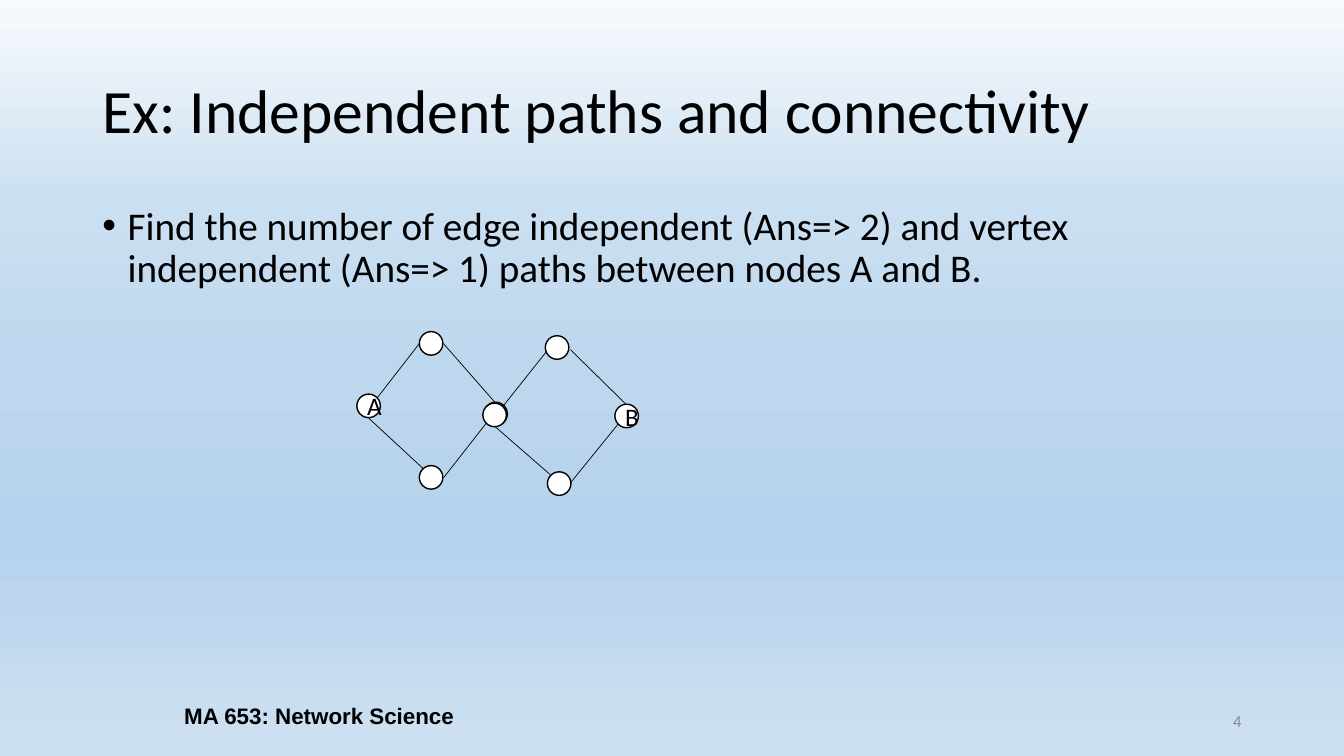
from lxml import etree
from pptx import Presentation
from pptx.dml.color import RGBColor
from pptx.enum.shapes import MSO_CONNECTOR, MSO_SHAPE
from pptx.enum.text import MSO_ANCHOR as ANCHOR, PP_ALIGN as ALIGN
from pptx.oxml import parse_xml
from pptx.oxml.ns import nsdecls, qn
from pptx.util import Pt

# Content
TITLE = "Ex: Independent paths and connectivity"
BODY = ("Find the number of edge independent (Ans=> 2) and vertex "
        "independent (Ans=> 1) paths between nodes A and B.")
COURSE = "MA 653: Network Science"
PAGE = "4"
COLORS = {"ink": "000000", "node": "FFFFFF", "page": "8C8C8C"}
BACKGROUND = [(0, "F7FAFD"), (28, "CADFF1"), (49, "BDD7EE"),
              (71, "B5D2EC"), (72, "B5D2EC"), (100, "CEE1F2")]
NODE_SIZE = 16.8

# Two diamonds meeting in the middle: nodes (left, top, label), edges (x1, y1, x2, y2)
DIAMONDS = [
    {"nodes": [(299.5, 236.9, ""), (299.5, 332.6, ""),
               (254.9, 281.5, "A"), (345.6, 287.3, "")],
     "edges": [(269.3, 284.4, 299.5, 245.5), (316.8, 245.5, 353.5, 287.3),
               (263.5, 298.8, 302.4, 334.8), (316.8, 341.3, 347.8, 301.7)]},
    {"nodes": [(389.5, 239.8, ""), (391, 337, ""),
               (344.9, 288, ""), (439.2, 288.7, "B")],
     "edges": [(359.3, 290.2, 390.2, 251.3), (407.5, 249.8, 447.1, 288.7),
               (353.5, 304.6, 393.1, 339.1), (407.5, 344.9, 441.4, 303.1)]},
]


def color(name):
    return RGBColor.from_string(COLORS[name])


def place(s, left, top, width, height):
    s.left, s.top, s.width, s.height = Pt(left), Pt(top), Pt(width), Pt(height)


def write(s, text, size, ink="ink", font="Calibri", bold=False,
          align=ALIGN.LEFT, anchor=ANCHOR.MIDDLE):
    tf = s.text_frame
    tf.word_wrap = True
    tf.vertical_anchor = anchor
    p = tf.paragraphs[0]
    p.alignment = align
    r = p.add_run()
    r.text = text
    r.font.name, r.font.size, r.font.bold = font, Pt(size), bold
    r.font.color.rgb = color(ink)
    return p


def add_node(left, top, label):
    s = slide.shapes.add_shape(MSO_SHAPE.OVAL, Pt(left), Pt(top),
                               Pt(NODE_SIZE), Pt(NODE_SIZE))
    s.shadow.inherit = False
    s.fill.solid()
    s.fill.fore_color.rgb = color("node")
    s.line.color.rgb = color("ink")
    s.line.width = Pt(1)
    if label:
        write(s, label, 18, align=ALIGN.CENTER)


def add_edge(x1, y1, x2, y2):
    s = slide.shapes.add_connector(MSO_CONNECTOR.STRAIGHT,
                                   Pt(x1), Pt(y1), Pt(x2), Pt(y2))
    s.line.color.rgb = color("ink")
    s.line.width = Pt(0.5)
    etree.SubElement(s._element.spPr, qn("a:effectLst"))


prs = Presentation()
prs.slide_width, prs.slide_height = Pt(960), Pt(540)
slide = prs.slides.add_slide(prs.slide_layouts[1])

# Background gradient, top to bottom
fill = slide.background.fill
fill.gradient()
fill.gradient_angle = 270
stops = slide._element.find(".//" + qn("a:gsLst"))
for stop in list(stops):
    stops.remove(stop)
for percent, value in BACKGROUND:
    stops.append(parse_xml(f'<a:gs {nsdecls("a")} pos="{percent * 1000}">'
                           f'<a:srgbClr val="{value}"/></a:gs>'))

# Title and body
title, body = slide.placeholders
place(title, 66, 28.8, 828, 104.4)
write(title, TITLE, 44).line_spacing = 0.9
place(body, 66, 144, 828, 342.7)
p = write(body, BODY, 28, anchor=ANCHOR.TOP)
p.line_spacing = 0.9
p.space_before = Pt(0)
pPr = p._p.get_or_add_pPr()
pPr.set("marL", str(Pt(18)))
pPr.set("indent", str(-Pt(18)))
etree.SubElement(pPr, qn("a:buFont")).set("typeface", "Arial")
etree.SubElement(pPr, qn("a:buChar")).set("char", "•")

# Footer
page = slide.shapes.add_textbox(Pt(678), Pt(500.5), Pt(216), Pt(28.8))
write(page, PAGE, 12, "page", align=ALIGN.RIGHT)
course = slide.shapes.add_textbox(Pt(66), Pt(497), Pt(324), Pt(28.8))
write(course, COURSE, 16, font="Arial", bold=True, align=ALIGN.CENTER)

# Network
for diamond in DIAMONDS:
    for node in diamond["nodes"]:
        add_node(*node)
    for edge in diamond["edges"]:
        add_edge(*edge)

prs.save("out.pptx")
